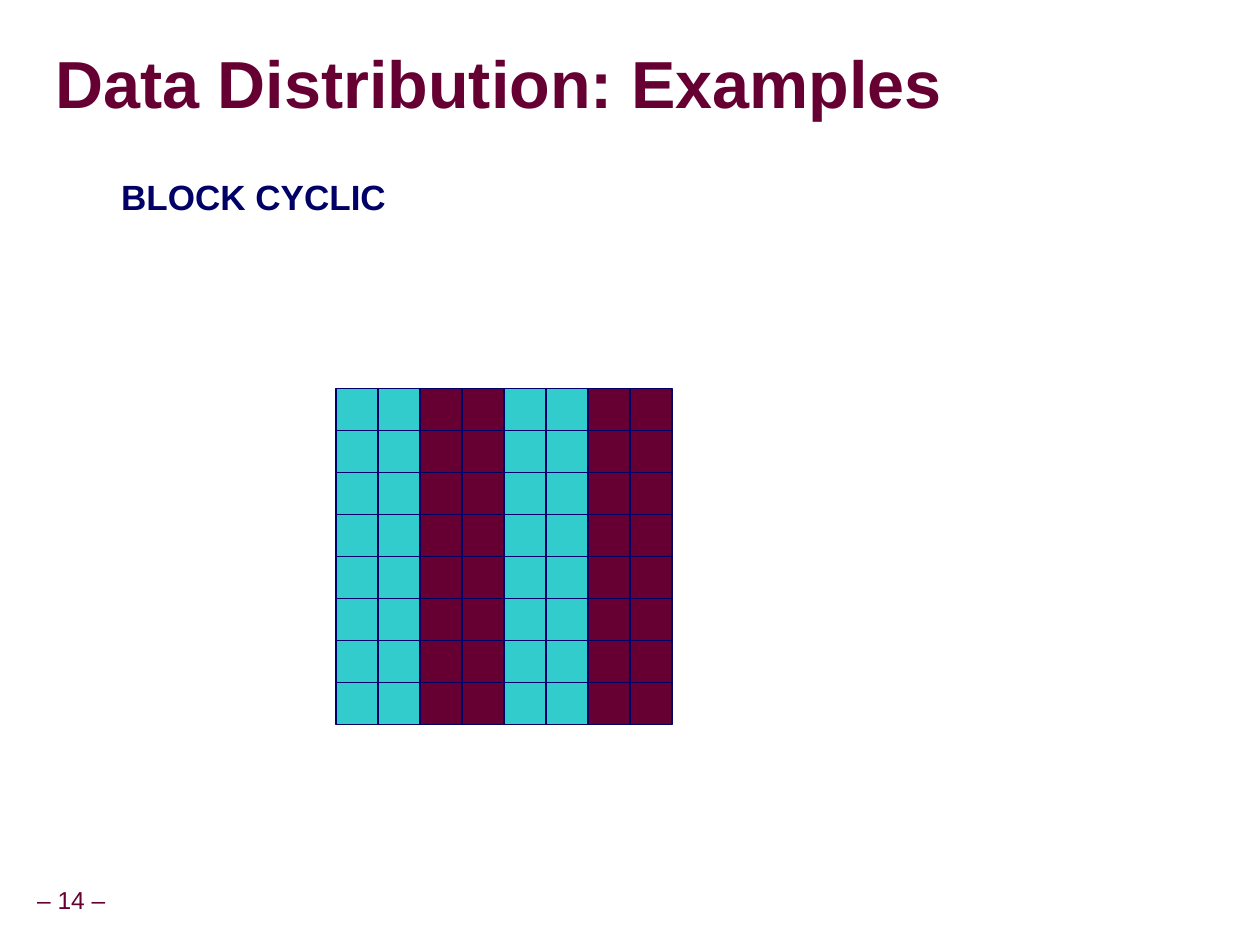
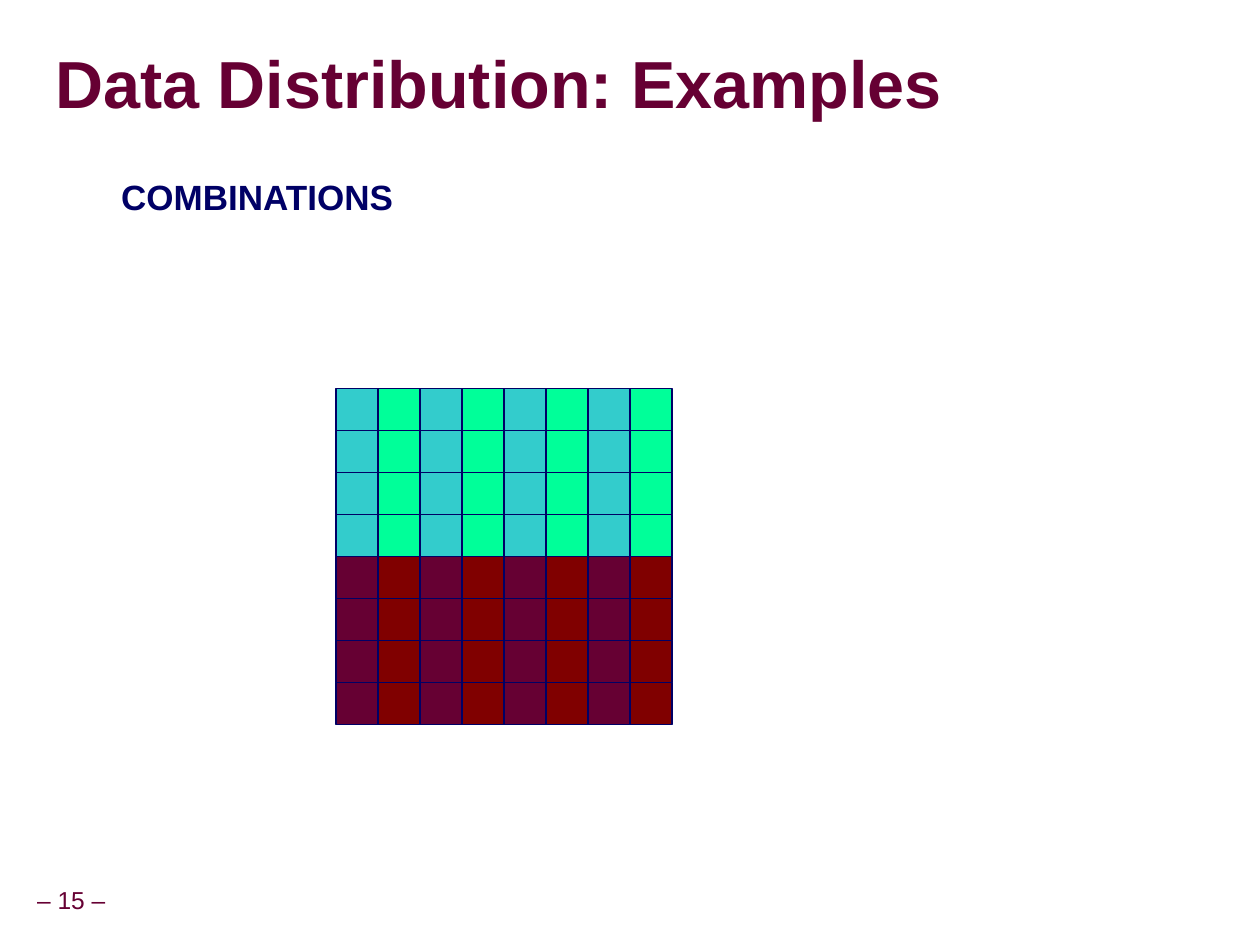
from lxml import etree
from pptx import Presentation
from pptx.dml.color import RGBColor
from pptx.enum.shapes import MSO_SHAPE
from pptx.enum.text import MSO_ANCHOR, MSO_AUTO_SIZE, PP_ALIGN
from pptx.oxml.ns import qn
from pptx.util import Pt

RECTANGLE = MSO_SHAPE.RECTANGLE
TOP, MIDDLE = MSO_ANCHOR.TOP, MSO_ANCHOR.MIDDLE
LEFT, CENTER = PP_ALIGN.LEFT, PP_ALIGN.CENTER
NO_AUTOFIT = MSO_AUTO_SIZE.NONE

NAVY = RGBColor(0x00, 0x00, 0x66)
PLUM = RGBColor(0x66, 0x00, 0x33)
TEAL = RGBColor(0x33, 0xCC, 0xCC)
MINT = RGBColor(0x00, 0xFF, 0x99)
MAROON = RGBColor(0x80, 0x00, 0x00)
FONT = "Arial"

# Content: each half of the grid lists the colours its columns cycle through
TITLE = "Data Distribution: Examples"
BLOCK_CYCLE = (TEAL, TEAL, PLUM, PLUM)
DISTRIBUTIONS = [
    {"page": 14, "heading": "BLOCK CYCLIC",
     "upper": BLOCK_CYCLE, "lower": BLOCK_CYCLE},
    {"page": 15, "heading": "COMBINATIONS",
     "upper": (TEAL, MINT), "lower": (PLUM, MAROON)},
]

# Layout in points: left, top, width, height
SLIDE_SIZE = (720, 540)
TITLE_AREA = (31.5, 19.5, 686, 61)
HEADING_AREA = (23, 96.5, 654.5, 411)
FOOTER_AREA = (-6.5, 504, 94.5, 22.5)
GRID_LEFT, GRID_TOP = 192, 222
CELL, GRID_COUNT = 24, 8


def place(shape, area):
    shape.left, shape.top, shape.width, shape.height = map(Pt, area)


def write(shape, text, *, size, color, bold=False, align=LEFT, anchor=TOP,
          margins=(0, 0), spacing=1.0, wrap=True, hanging=None, shadow=False):
    frame = shape.text_frame
    frame.auto_size = NO_AUTOFIT
    frame.word_wrap = wrap
    frame.vertical_anchor = anchor
    frame.margin_left = frame.margin_right = Pt(margins[0])
    frame.margin_top = frame.margin_bottom = Pt(margins[1])
    paragraph = frame.paragraphs[0]
    paragraph.alignment = align
    paragraph.line_spacing = spacing
    paragraph.space_before = Pt(0)
    if hanging:
        properties = paragraph._p.get_or_add_pPr()
        properties.set("marL", str(Pt(hanging[0])))
        properties.set("indent", str(Pt(hanging[1])))
        etree.SubElement(properties, qn("a:buNone"))
    run = paragraph.add_run()
    run.text = text
    font = run.font
    font.name, font.size, font.bold = FONT, Pt(size), bold
    font.color.rgb = color
    if shadow:
        effects = etree.Element(qn("a:effectLst"))
        outer = etree.SubElement(effects, qn("a:outerShdw"), blurRad="38100",
                                 dist="38100", dir="2700000", algn="tl")
        etree.SubElement(outer, qn("a:srgbClr"), val="C0C0C0")
        run._r.rPr.find(qn("a:solidFill")).addnext(effects)


def add_grid(slide, upper, lower):
    for column in range(GRID_COUNT):
        for row in range(GRID_COUNT):
            cycle = upper if row < GRID_COUNT // 2 else lower
            cell = slide.shapes.add_shape(
                RECTANGLE, Pt(GRID_LEFT + column * CELL),
                Pt(GRID_TOP + row * CELL), Pt(CELL), Pt(CELL))
            cell.shadow.inherit = False
            cell.fill.solid()
            cell.fill.fore_color.rgb = cycle[column % len(cycle)]
            cell.line.color.rgb = NAVY
            cell.line.width = Pt(0.75)


def add_distribution(deck, page, heading, upper, lower):
    slide = deck.slides.add_slide(deck.slide_layouts[1])

    # Page number
    footer = slide.shapes.add_textbox(*map(Pt, FOOTER_AREA))
    write(footer, f"– {page} –", size=14, color=PLUM, align=CENTER,
          anchor=MIDDLE, margins=(3.6, 3.6), spacing=0.9, wrap=False)

    # Title and heading
    title, body = slide.shapes.title, slide.placeholders[1]
    place(title, TITLE_AREA)
    write(title, TITLE, size=38, color=PLUM, bold=True, anchor=MIDDLE,
          spacing=0.87, shadow=True)
    place(body, HEADING_AREA)
    body.text_frame.paragraphs[0].level = 1
    write(body, heading, size=20, color=NAVY, bold=True,
          margins=(7.2, 3.6), hanging=(58.5, -19.5))

    add_grid(slide, upper, lower)


def main():
    deck = Presentation()
    deck.slide_width, deck.slide_height = map(Pt, SLIDE_SIZE)
    for distribution in DISTRIBUTIONS:
        add_distribution(deck, **distribution)
    deck.save("out.pptx")


if __name__ == "__main__":
    main()
